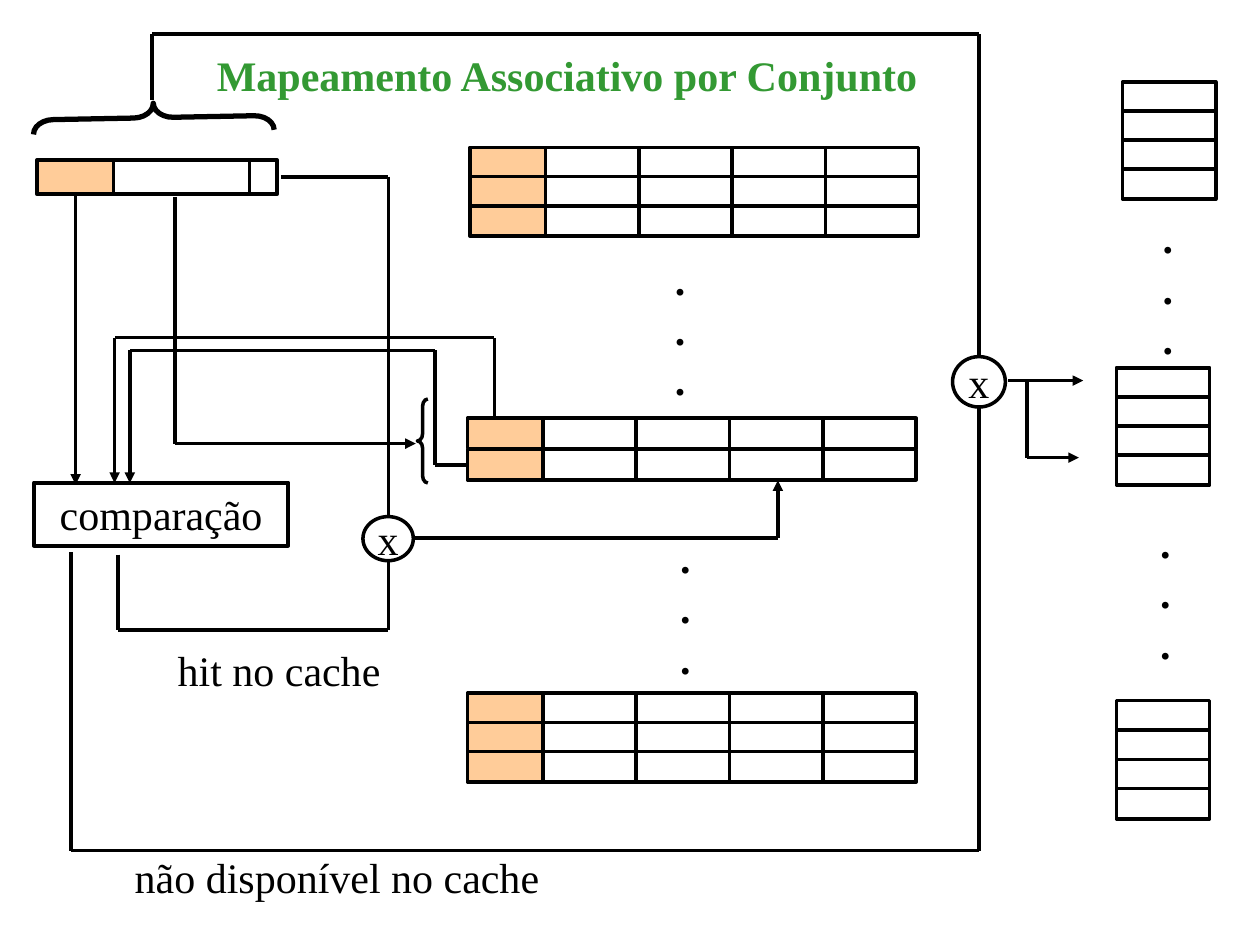
"""Draw the set-associative cache mapping diagram on one slide."""
import itertools
from dataclasses import dataclass

import pptx
import pptx.dml.color
import pptx.enum.shapes
import pptx.enum.text
import pptx.oxml.ns
import pptx.util
from lxml import etree

Pt = pptx.util.Pt
Shape = pptx.enum.shapes.MSO_SHAPE
HUES = {"ink": "000000", "paper": "FFFFFF", "tag": "FFCC99", "title": "339933"}
FONT = {"name": "Times New Roman", "size": Pt(24)}
FRAME = {
    "word_wrap": False,
    "auto_size": pptx.enum.text.MSO_AUTO_SIZE.NONE,
    "margin_left": Pt(7.2), "margin_right": Pt(7.2),
    "margin_top": Pt(3.6), "margin_bottom": Pt(3.6),
}
LINES = {"alignment": pptx.enum.text.PP_ALIGN.CENTER, "line_spacing": Pt(28.8),
         "space_before": Pt(0)}
CELL_H = 17.3
TAG_W = 46
WORD_W = 53.3
WORD_X = 43.2


@dataclass
class Box:
    left: float
    top: float
    width: float
    height: float

    def place(self) -> tuple:
        return tuple(map(Pt, (self.left, self.top, self.width, self.height)))


@dataclass
class Wire:
    points: list
    arrow: bool = False


@dataclass
class Grid:
    left: float
    top: float
    rows: int
    words: int
    pitch: float
    tagged: bool = True


@dataclass
class Label:
    box: Box
    text: str


WIRES = [
    Wire([(282.5, 256), (282.5, 193), (65.5, 193), (65.5, 276)], True),
    Wire([(267, 265.7), (248.5, 265.7), (248.5, 200.2), (74.2, 200.2), (74.2, 276)], True),
    Wire([(43.2, 109.5), (43.2, 277)], True),
    Wire([(67.5, 317), (67.5, 360), (222, 360), (222, 319.5)]),
    Wire([(160.5, 101), (222, 101), (222, 295)]),
    Wire([(234, 307.5), (444.5, 307.5), (444.5, 274.5)], True),
    Wire([(40.5, 315.5), (40.5, 486), (559.5, 486), (559.5, 232.5)]),
    Wire([(87, 57), (87, 19.5), (559.5, 19.5), (559.5, 204)]),
    Wire([(576, 217.5), (619, 217.5)], True),
    Wire([(587, 217.5), (587, 261.5), (616.5, 261.5)], True),
    Wire([(100, 112.5), (100, 253.5), (237.6, 253.5)], True),
]
GRIDS = [
    Grid(268.6, 84.2, 3, 4, 16.7),
    Grid(267.1, 239, 2, 4, 18),
    Grid(267.1, 396, 3, 4, 16.8),
    Grid(641.5, 46.8, 4, 1, 16.6, False),
    Grid(638, 210.2, 4, 1, 16.6, False),
    Grid(638, 400.3, 4, 1, 16.8, False),
]
FIELDS = [(Box(21, 91.5, 46, 19.5), "tag"), (Box(65, 91.5, 83.5, 19.5), "paper"),
          (Box(142.5, 91.5, 16, 19.5), "paper")]
GATES = [Box(207.4, 295.2, 28.8, 25.2), Box(544.3, 203.8, 30.2, 28.8)]
DOTS = [(381.6, 300.2), (378.7, 141.1), (655.9, 291.6), (657.4, 117.4)]
LABELS = [
    Label(Box(94.5, 365, 130, 36), "hit no cache"),
    Label(Box(69.8, 483, 245.5, 36), "não disponível no cache"),
] + [Label(Box(x, y, 20, 93.6), ".\n.\n.") for x, y in DOTS]


def apply(thing: object, form: dict) -> None:
    for key, value in form.items():
        setattr(thing, key, value)


def shade(name: str) -> pptx.dml.color.RGBColor:
    return pptx.dml.color.RGBColor.from_string(HUES[name])


def write(shape, text: str, hue: str = "ink", bold: bool = False, anchor: str = "TOP") -> None:
    frame = shape.text_frame
    frame.text = text
    apply(frame, FRAME)
    frame.vertical_anchor = getattr(pptx.enum.text.MSO_ANCHOR, anchor)
    for line in frame.paragraphs:
        apply(line, LINES)
        apply(line.font, {**FONT, "bold": bold})
        line.font.color.rgb = shade(hue)


def draw(slide, kind, box: Box, fill: str = "", weight: float = 2):
    shape = slide.shapes.add_shape(kind, *box.place())
    shape.shadow.inherit = False
    if fill:
        shape.fill.solid()
        shape.fill.fore_color.rgb = shade(fill)
    else:
        shape.fill.background()
    shape.line.color.rgb = shade("ink")
    shape.line.width = Pt(weight)
    return shape


def brace(slide, box: Box, weight: float, turn: float = 0) -> None:
    shape = draw(slide, Shape.LEFT_BRACE, box, weight=weight)
    shape.rotation = turn
    shape.adjustments[0] = 0.69


def link(slide, wire: Wire) -> None:
    pairs = list(itertools.pairwise(wire.points))
    for start, end in pairs:
        line = slide.shapes.add_connector(
            pptx.enum.shapes.MSO_CONNECTOR.STRAIGHT, *map(Pt, start + end))
        line.line.color.rgb = shade("ink")
        line.line.width = Pt(2)
        if wire.arrow and end == wire.points[-1]:
            etree.SubElement(line.line._get_or_add_ln(),
                             pptx.oxml.ns.qn("a:tailEnd"), type="triangle")
        etree.SubElement(line._element.spPr, pptx.oxml.ns.qn("a:effectLst"))


def fill_grid(slide, grid: Grid) -> None:
    shift = WORD_X if grid.tagged else 0
    for row in range(grid.rows):
        top = grid.top + row * grid.pitch
        if grid.tagged:
            draw(slide, Shape.RECTANGLE, Box(grid.left, top, TAG_W, CELL_H), "tag")
        for word in range(grid.words):
            left = grid.left + shift + word * WORD_W
            draw(slide, Shape.RECTANGLE, Box(left, top, WORD_W, CELL_H), "paper")


def main() -> None:
    deck = pptx.Presentation()
    apply(deck, {"slide_width": Pt(720), "slide_height": Pt(540)})
    slide = deck.slides.add_slide(deck.slide_layouts[5])
    title = slide.shapes.title
    apply(title, dict(zip(("left", "top", "width", "height"),
                          Box(116, 24.5, 416, 36).place())))
    write(title, "Mapeamento Associativo por Conjunto", "title", True)
    for wire in WIRES:
        link(slide, wire)
    for box, hue in FIELDS:
        draw(slide, Shape.RECTANGLE, box, hue)
    for grid in GRIDS:
        fill_grid(slide, grid)
    test = draw(slide, Shape.RECTANGLE, Box(19.4, 275.8, 145.4, 36), weight=2.25)
    write(test, "comparação")
    for gate in GATES:
        write(draw(slide, Shape.OVAL, gate, "paper"), "x", anchor="MIDDLE")
    brace(slide, Box(79.5, -1.5, 16.5, 137.5), 3, 88.9)
    brace(slide, Box(238.5, 228, 6, 48), 2)
    for label in LABELS:
        write(slide.shapes.add_textbox(*label.box.place()), label.text,
              bold=label.text.startswith("."))
    deck.save("out.pptx")


if __name__ == "__main__":
    main()
